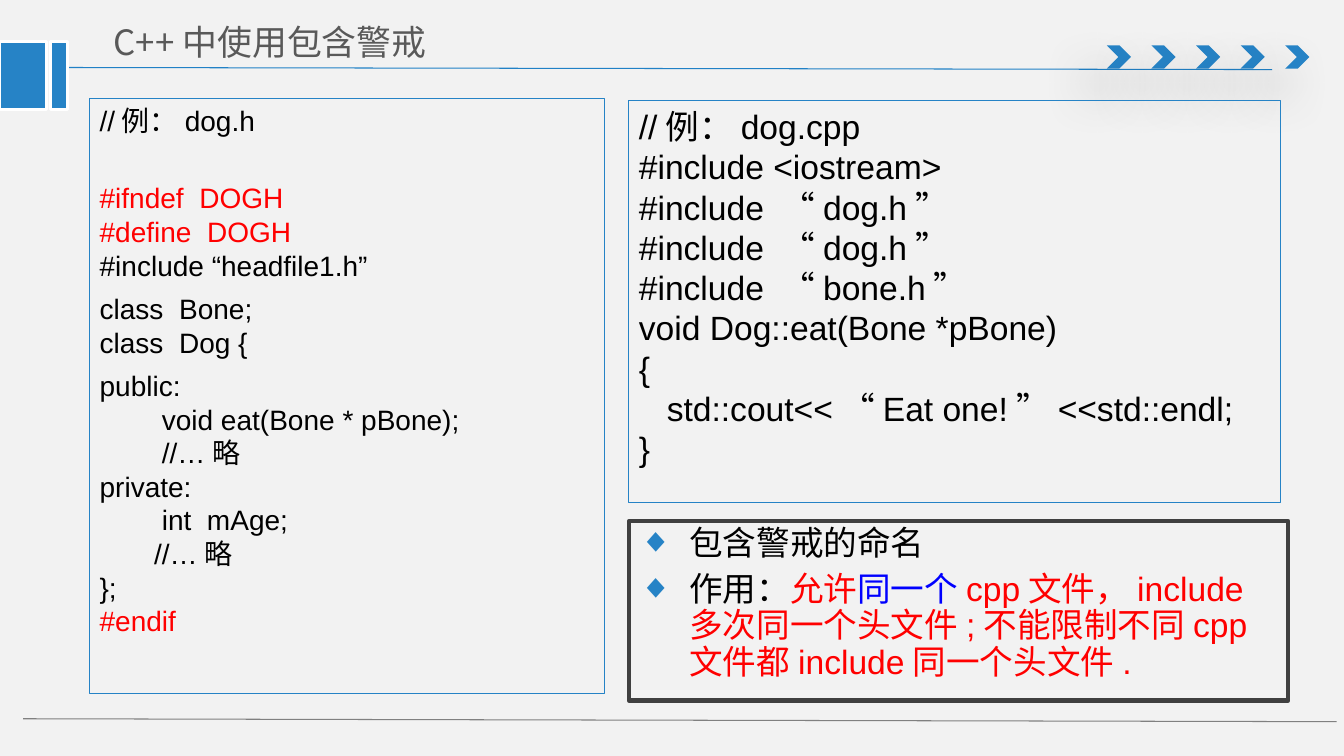
from pptx import Presentation
from pptx.dml import color
from pptx.enum import shapes, text
from pptx.oxml import parse_xml
from pptx.oxml import ns
from pptx import util as u

COLORS = {
    "background": "F2F2F2", "blue": "2683C6", "rule": "2181C6", "gray": "808080",
    "dark": "404040", "title": "595959", "black": "000000", "red": "FF0000",
    "link": "0000FF", "white": "FFFFFF",
}
LATIN = "Arial"
CJK = "Noto Sans CJK SC"

HEADER_CODE = [
    (0, [("//例：dog.h", "black")]),
    (31, [("#ifndef  DOGH\n#define  DOGH\n", "red"), ("#include “headfile1.h”", "black")]),
    (7, [("class  Bone;\nclass  Dog {", "black")]),
    (7, [("public:\n        void eat(Bone * pBone);\n        //…略\n"
          "private:\n        int  mAge;\n       //…略\n};\n", "black"), ("#endif", "red")]),
]
SOURCE_CODE = [(0, [
    ("//例：dog.cpp\n#include <iostream>\n#include ", "black"),
    ("“", "black", CJK), ("dog.h", "black"), ("”", "black", CJK), ("\n#include ", "black"),
    ("“", "black", CJK), ("dog.h", "black"), ("”", "black", CJK), ("\n#include ", "black"),
    ("“", "black", CJK), ("bone.h", "black"), ("”", "black", CJK),
    ("\nvoid Dog::eat(Bone *pBone)\n{\n   std::cout<<", "black"),
    ("“", "black", CJK), ("Eat one!", "black"), ("”", "black", CJK),
    ("<<std::endl;\n}", "black"),
])]
NOTES = [
    (0, [("包含警戒的命名", "black")]),
    (7, [("作用：", "black"), ("允许", "red"), ("同一个", "link"),
         ("cpp文件，include多次同一个头文件;不能限制不同cpp文件都include同一个头文件.", "red")]),
]


def rgb(name):
    return color.RGBColor.from_string(COLORS[name])


def apply(target, values):
    for name, value in values.items():
        setattr(target, name, value)


class SlideBuilder:
    def __init__(self, presentation):
        self.slide = presentation.slides.add_slide(presentation.slide_layouts[5])
        fill = self.slide.background.fill
        fill.solid()
        fill.fore_color.rgb = rgb("background")

    def run(self, paragraph, content, size, name, font):
        run = paragraph.add_run()
        run.text = content
        apply(run.font, {"size": u.Pt(size), "name": font, "bold": False})
        run.font.color.rgb = rgb(name)
        east_asian = parse_xml(f'<a:ea {ns.nsdecls("a")} typeface="{CJK}"/>')
        run.font._element.find(ns.qn("a:latin")).addnext(east_asian)

    def title(self, content, left, top, width, height):
        shape = self.slide.shapes.title
        apply(shape, {"left": u.Pt(left), "top": u.Pt(top),
                      "width": u.Pt(width), "height": u.Pt(height)})
        apply(shape.text_frame, {
            "word_wrap": True, "auto_size": text.MSO_AUTO_SIZE.NONE,
            "vertical_anchor": text.MSO_ANCHOR.MIDDLE,
            "margin_left": u.Pt(10), "margin_right": u.Pt(10),
            "margin_top": u.Pt(5), "margin_bottom": u.Pt(5)})
        paragraph = shape.text_frame.paragraphs[0]
        paragraph.alignment = text.PP_ALIGN.LEFT
        self.run(paragraph, content, 24.9, "title", CJK)

    def line(self, start, end, name):
        connector = self.slide.shapes.add_connector(
            shapes.MSO_CONNECTOR.STRAIGHT, *map(u.Pt, start + end))
        connector.line.color.rgb = rgb(name)
        connector.line.width = u.Pt(0.75)
        connector._element.spPr.append(parse_xml(f'<a:effectLst {ns.nsdecls("a")}/>'))

    def shape(self, kind, left, top, width, height, fill=None, line=None, weight=0.75):
        shape = self.slide.shapes.add_shape(kind, *map(u.Pt, (left, top, width, height)))
        shape.shadow.inherit = False
        if fill:
            shape.fill.solid()
            shape.fill.fore_color.rgb = rgb(fill)
        else:
            shape.fill.background()
        if line:
            shape.line.color.rgb = rgb(line)
            shape.line.width = u.Pt(weight)
        else:
            shape.line.fill.background()
        return shape

    def chevron(self, left, top, width, height):
        shape = self.shape(shapes.MSO_SHAPE.CHEVRON, left, top, width, height, "blue")
        effects = shape._element.spPr.find(ns.qn("a:effectLst"))
        effects.append(parse_xml(
            f'<a:outerShdw {ns.nsdecls("a")} blurRad="{u.Pt(36)}" dist="{u.Pt(24)}" '
            f'dir="{130 * 60000}" rotWithShape="0"><a:srgbClr val="{COLORS["black"]}">'
            '<a:alpha val="38000"/></a:srgbClr></a:outerShdw>'))

    def bullet(self, paragraph):
        properties = paragraph._p.get_or_add_pPr()
        properties.set("marL", str(u.Pt(36)))
        properties.set("indent", str(-u.Pt(36)))
        for xml in (f'<a:buClr {ns.nsdecls("a")}><a:srgbClr val="{COLORS["blue"]}"/></a:buClr>',
                    f'<a:buFont {ns.nsdecls("a")} typeface="{LATIN}"/>',
                    f'<a:buChar {ns.nsdecls("a")} char="◆"/>'):
            properties.append(parse_xml(xml))

    def text_panel(self, box, paragraphs, size, spacing, line="blue", weight=0.75, bullets=False):
        shape = self.shape(shapes.MSO_SHAPE.RECTANGLE, *box, line=line, weight=weight)
        frame = shape.text_frame
        apply(frame, {"word_wrap": True, "vertical_anchor": text.MSO_ANCHOR.TOP})
        for index, (before, runs) in enumerate(paragraphs):
            paragraph = frame.add_paragraph() if index else frame.paragraphs[0]
            apply(paragraph, {"alignment": text.PP_ALIGN.LEFT, "line_spacing": u.Pt(spacing),
                              "space_before": u.Pt(before)})
            if bullets:
                self.bullet(paragraph)
            for content, name, *font in runs:
                for number, part in enumerate(content.split("\n")):
                    if number:
                        paragraph.add_line_break()
                    if part:
                        self.run(paragraph, part, size, name, font[0] if font else LATIN)


def main():
    presentation = Presentation()
    apply(presentation, {"slide_width": u.Pt(960), "slide_height": u.Pt(540)})
    builder = SlideBuilder(presentation)
    builder.line((38.2, 48.2), (908.6, 49.7), "rule")
    for index in range(5):
        builder.chevron(790.6 + 31.86 * index, 32.4, 17.3, 16.6)
    builder.line((16.6, 513.4), (954.7, 515.5), "gray")
    for left, width in ((0, 33.1), (36, 12.2)):
        builder.shape(shapes.MSO_SHAPE.RECTANGLE, left, 29.5, width, 49, "blue", "white", 2)
    builder.title("C++中使用包含警戒", 71.3, 10.1, 333.4, 39.6)
    builder.text_panel((64.1, 70.6, 367.9, 424.8), HEADER_CODE, 20, 24)
    builder.text_panel((449.3, 72, 465.1, 287.3), SOURCE_CODE, 24, 28.8)
    builder.text_panel((449.3, 372.2, 470.9, 128.2), NOTES, 24, 25.9, "dark", 3, True)
    presentation.save("out.pptx")


if __name__ == "__main__":
    main()
